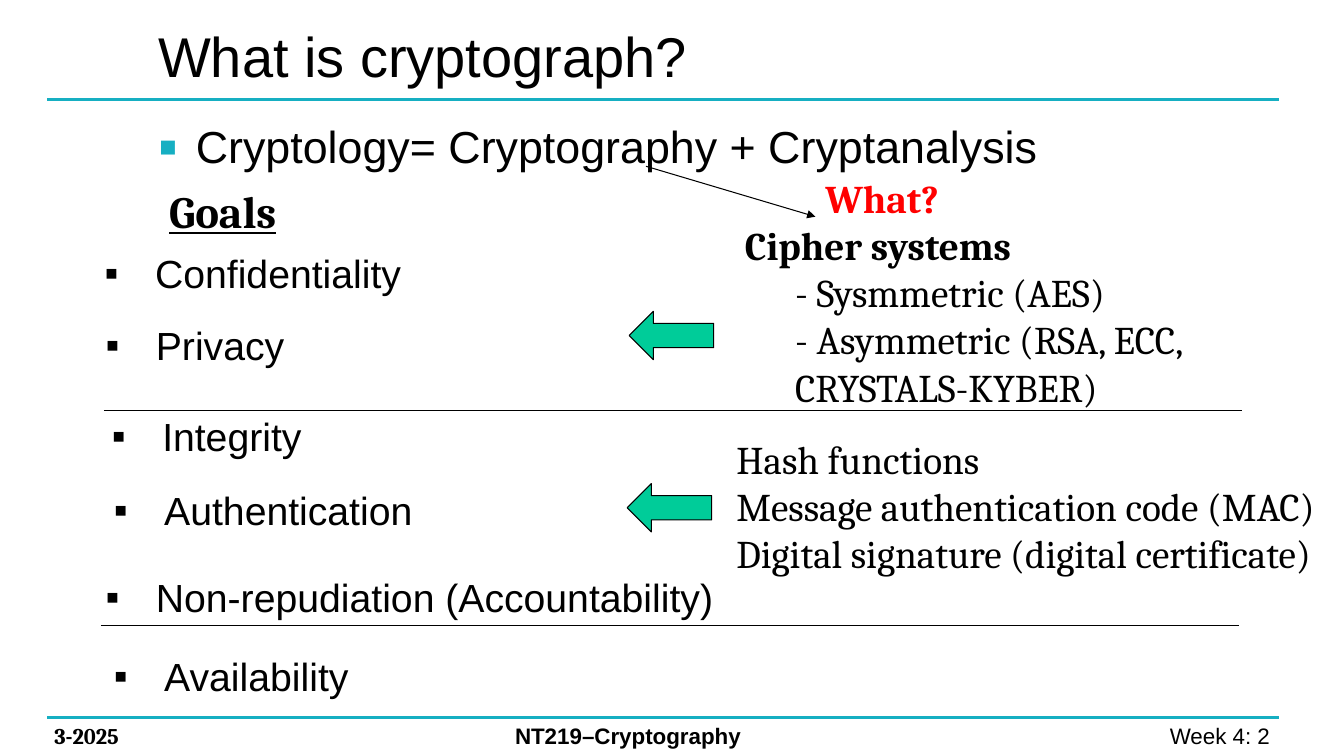
from lxml import etree
from pptx import Presentation
from pptx.dml.color import RGBColor
from pptx.enum.shapes import MSO_CONNECTOR as Line, MSO_SHAPE as Preset
from pptx.enum.text import MSO_ANCHOR as Anchor, MSO_AUTO_SIZE as Fit, PP_ALIGN as Align
from pptx.oxml.ns import qn
from pptx.util import Cm, Pt

TEAL, GREEN, RED, BLACK = "16AFC2", "00CC99", "FF0000", "000000"


def color(value):
    return RGBColor.from_string(value)


def write(frame, text, size=28, font="Arial", ink=BLACK, bold=False, underline=False,
          align=Align.LEFT, level=0, margin=0, hanging=0, bullet=None, bullet_size=100):
    """Add one formatted paragraph to a text frame."""
    paragraph = frame.paragraphs[0] if not frame.text else frame.add_paragraph()
    paragraph.alignment = align
    paragraph.level = level
    paragraph.space_before = Pt(0)
    properties = paragraph._p.get_or_add_pPr()
    properties.set("marL", str(Cm(margin)))
    properties.set("indent", str(-Cm(hanging)))
    if bullet:
        tint = etree.SubElement(properties, qn("a:buClr"))
        etree.SubElement(tint, qn("a:srgbClr"), val=bullet)
        etree.SubElement(properties, qn("a:buSzPct"), val=str(bullet_size * 1000))
        etree.SubElement(properties, qn("a:buFont"), typeface="Arial")
        etree.SubElement(properties, qn("a:buChar"), char="▪")
    run = paragraph.add_run()
    run.text = text
    run.font.size = Pt(size)
    run.font.name = font
    run.font.bold = bold
    run.font.underline = underline
    run.font.color.rgb = color(ink)


deck = Presentation()
deck.slide_width, deck.slide_height = Cm(33.87), Cm(19.05)
slide = deck.slides.add_slide(deck.slide_layouts[1])
shapes = slide.shapes

# Title and opening statement
title, statement = shapes.title, slide.placeholders[1]
title.left, title.top, title.width, title.height = Cm(3.73), Cm(0.28), Cm(18.49), Cm(2.21)
statement.left, statement.top, statement.width, statement.height = (
    Cm(3.73), Cm(2.87), Cm(22.78), Cm(13.79))
for holder, anchor in ((title, Anchor.MIDDLE), (statement, Anchor.TOP)):
    holder.text_frame.auto_size = Fit.NONE
    holder.text_frame.vertical_anchor = anchor
write(title.text_frame, "What is cryptograph?", size=40)
write(statement.text_frame, "Cryptology= Cryptography + Cryptanalysis", size=32,
      margin=0.95, hanging=0.95, bullet=TEAL, bullet_size=125)

# Header and footer rules, section dividers, pointer to "What?"
for x1, y1, x2, y2, ink, weight, pointed in (
    (1.19, 2.51, 32.23, 2.51, TEAL, 2.25, False),
    (1.19, 18.08, 32.23, 18.08, TEAL, 2.25, False),
    (2.62, 10.34, 31.29, 10.34, BLACK, 0.75, False),
    (2.54, 15.77, 31.22, 15.77, BLACK, 0.75, False),
    (16.28, 4.19, 20.55, 5.46, BLACK, 0.75, True),
):
    rule = shapes.add_connector(Line.STRAIGHT, Cm(x1), Cm(y1), Cm(x2), Cm(y2))
    rule.line.color.rgb = color(ink)
    rule.line.width = Pt(weight)
    if pointed:
        etree.SubElement(rule.line._get_or_add_ln(), qn("a:tailEnd"), type="triangle")
    etree.SubElement(rule._element.spPr, qn("a:effectLst"))

# Arrows from the techniques to the goals
for left, top in ((16.31, 7.39), (16.26, 11.73)):
    arrow = shapes.add_shape(Preset.DOWN_ARROW, Cm(left), Cm(top), Cm(1.22), Cm(2.13))
    arrow.rotation = 90
    arrow.shadow.inherit = False
    arrow.fill.solid()
    arrow.fill.fore_color.rgb = color(GREEN)
    arrow.line.color.rgb = color(BLACK)
    arrow.line.width = Pt(0.75)

# Text: left, top, width, height, wrap, lines with their format
goal = dict(margin=1.27, hanging=1.27, bullet=BLACK)
serif = dict(font="Cambria")
strong = dict(font="Cambria", bold=True)
cipher = dict(font="Cambria", level=1, margin=1.27)
texts = [
    (1.12, 18.06, 4.52, 0.94, True, [("3-2025", dict(strong, size=16))]),
    (12.73, 18.08, 10.39, 0.94, True, [("NT219–Cryptography", dict(size=16, bold=True))]),
    (24.94, 18.08, 7.47, 0.94, True, [("Week 4: 2 ", dict(size=16, align=Align.RIGHT))]),
    (4.01, 4.5, 3.3, 1.63, False, [("Goals", dict(strong, size=32, underline=True))]),
    (2.39, 6.15, 8.08, 1.45, False, [("Confidentiality", goal)]),
    (2.41, 7.98, 5.08, 1.45, False, [("Privacy", goal)]),
    (2.57, 10.26, 5.36, 1.45, False, [("Integrity", goal)]),
    (2.62, 12.14, 8.13, 1.45, False, [("Authentication", goal)]),
    (2.41, 14.33, 16.08, 1.45, False, [("Non-repudiation (Accountability)", goal)]),
    (2.62, 16.31, 6.5, 1.45, False, [("Availability", goal)]),
    (20.55, 4.27, 3.4, 1.45, False, [("What?", dict(strong, ink=RED))]),
    (18.52, 5.46, 15.11, 5.05, True, [
        ("Cipher systems", strong),
        ("- Sysmmetric (AES)", cipher),
        ("- Asymmetric (RSA, ECC, CRYSTALS-KYBER)", cipher)]),
    (18.31, 10.85, 16.08, 3.84, True, [
        ("Hash functions", serif),
        ("Message authentication code (MAC)", serif),
        ("Digital signature (digital certificate)", serif)]),
]
for left, top, width, height, wrap, lines in texts:
    frame = shapes.add_textbox(Cm(left), Cm(top), Cm(width), Cm(height)).text_frame
    frame.word_wrap = wrap
    frame.auto_size = Fit.SHAPE_TO_FIT_TEXT
    for text, style in lines:
        write(frame, text, **style)

deck.save("out.pptx")
